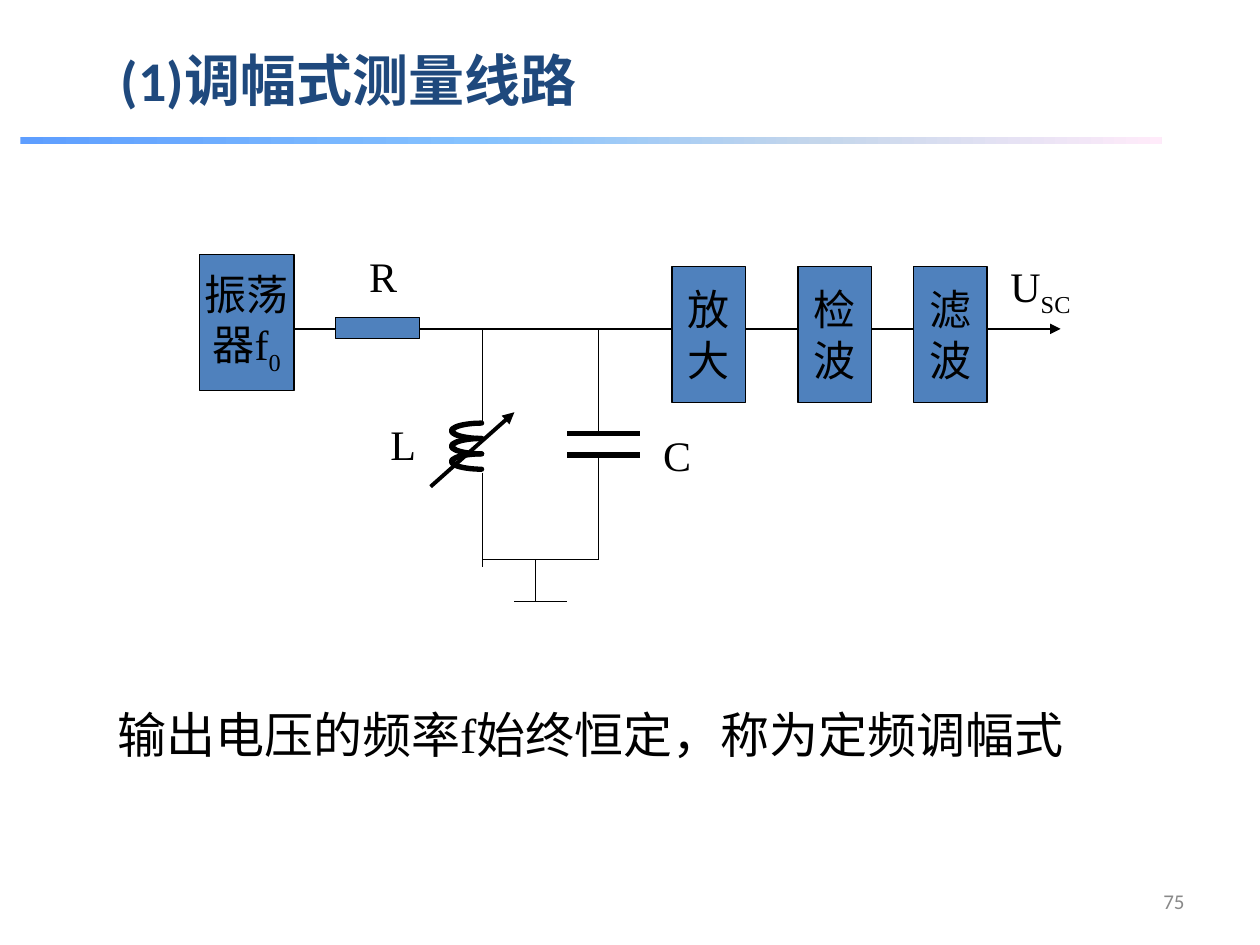
from itertools import pairwise
from lxml import etree
from pptx import Presentation
from pptx.dml.color import RGBColor
from pptx.enum.shapes import MSO_CONNECTOR, MSO_SHAPE
from pptx.enum.text import MSO_ANCHOR, MSO_AUTO_SIZE, PP_ALIGN
from pptx.oxml import parse_xml
from pptx.oxml.ns import nsdecls, qn
from pptx.util import Cm, Pt

COLORS = {"ink": "000000", "fill": "4F81BD", "title": "1F497D", "page": "898989"}
LATIN, ASIAN, HEAD = "Times New Roman", "Noto Sans CJK SC", "Calibri"

TITLE = "(1)调幅式测量线路"
NOTE = [("输出电压的频率", ASIAN), ("f", LATIN), ("始终恒定，称为定频调幅式", ASIAN)]
BAR = [(0, "5E9EFF"), (40, "85C2FF"), (70, "C4D6EB"), (100, "FFEBFA")]

# Centimetres; "_" marks the start of a subscript
WIRE_Y, COIL_X, CAP_X, BASE_Y, EARTH_Y = 6.63, 9.73, 12.07, 11.28, 12.12
PLATES = (8.74, 9.17)
COIL_TOP, TURN = 8.53, 0.31
BOXES = [  # left, top, width, height, lines
    (4.02, 5.13, 1.91, 2.74, ["振荡", "器f_0"]),
    (6.77, 6.4, 1.69, 0.43, []),
    (13.55, 5.37, 1.48, 2.74, ["放", "大"]),
    (16.09, 5.37, 1.48, 2.74, ["检", "波"]),
    (18.42, 5.37, 1.48, 2.74, ["滤", "波"]),
]
LABELS = [
    (7.62, 8.31, 1.02, "L"),
    (7.19, 4.93, 1.06, "R"),
    (13.12, 8.53, 1.06, "C"),
    (20.12, 5.13, 1.8, "U_SC"),
]
WIRES = [
    (CAP_X, WIRE_Y, CAP_X, PLATES[0]),
    (CAP_X, PLATES[1], CAP_X, BASE_Y),
    (COIL_X, WIRE_Y, COIL_X, COIL_TOP),
    (COIL_X, 9.53, COIL_X, 11.43),
    (COIL_X, BASE_Y, CAP_X, BASE_Y),
    (10.8, BASE_Y, 10.8, EARTH_Y),
    (10.37, EARTH_Y, 11.43, EARTH_Y),
]


def rgb(name):
    return RGBColor.from_string(COLORS[name])


def style(run, size, font=LATIN, color="ink", bold=False):
    run.font.size, run.font.name, run.font.bold = Pt(size), font, bold
    run.font.color.rgb = rgb(color)
    latin = run.font._element.find(qn("a:latin"))
    east = etree.Element(qn("a:ea"), typeface=ASIAN)
    latin.addnext(east)


def write(para, text, size=24):
    """Fill a paragraph, lowering whatever follows an underscore."""
    for low, part in enumerate(text.split("_")):
        run = para.add_run()
        run.text = part
        style(run, size)
        if low:
            run.font._element.set("baseline", "-25000")


def block(kind, left, top, width, height, line=0.75):
    shape = slide.shapes.add_shape(kind, Cm(left), Cm(top), Cm(width), Cm(height))
    shape.shadow.inherit = False
    shape.fill.solid()
    shape.fill.fore_color.rgb = rgb("fill")
    shape.line.color.rgb = rgb("ink")
    shape.line.width = Pt(line)
    return shape


def wire(x1, y1, x2, y2, width=0.75, arrow=False):
    line = slide.shapes.add_connector(
        MSO_CONNECTOR.STRAIGHT, Cm(x1), Cm(y1), Cm(x2), Cm(y2))
    line.line.color.rgb = rgb("ink")
    line.line.width = Pt(width)
    if arrow:
        etree.SubElement(line.line._get_or_add_ln(), qn("a:tailEnd"), type="triangle")
    etree.SubElement(line._element.spPr, qn("a:effectLst"))


def textbox(left, top, width, height, wrap=True):
    frame = slide.shapes.add_textbox(
        Cm(left), Cm(top), Cm(width), Cm(height)).text_frame
    frame.word_wrap = wrap
    return frame


deck = Presentation()
deck.slide_width, deck.slide_height = Cm(25.4), Cm(19.05)
slide = deck.slides.add_slide(deck.slide_layouts[5])

title = slide.shapes.title
title.left, title.top, title.width, title.height = Cm(2.18), Cm(0.79), Cm(14.27), Cm(1.63)
title.text_frame.text = TITLE
title.text_frame.vertical_anchor = MSO_ANCHOR.TOP
title.text_frame.paragraphs[0].alignment = PP_ALIGN.LEFT
style(title.text_frame.paragraphs[0].runs[0], 32, HEAD, "title", True)

bar = block(MSO_SHAPE.RECTANGLE, 0.41, 2.77, 23.01, 0.13)
bar.line.fill.background()
stops = "".join(f'<a:gs pos="{pos * 1000}"><a:srgbClr val="{color}"/></a:gs>'
                for pos, color in BAR)
solid = bar._element.spPr.find(qn("a:solidFill"))
solid.getparent().replace(solid, parse_xml(
    f'<a:gradFill {nsdecls("a")}><a:gsLst>{stops}</a:gsLst><a:lin ang="0"/></a:gradFill>'))

for left, top, width, height, lines in BOXES:
    frame = block(MSO_SHAPE.RECTANGLE, left, top, width, height).text_frame
    frame.word_wrap = False
    frame.vertical_anchor = MSO_ANCHOR.MIDDLE
    for i, text in enumerate(lines):
        para = frame.add_paragraph() if i else frame.paragraphs[0]
        para.alignment = PP_ALIGN.CENTER
        write(para, text)

for one, two in pairwise(BOXES):
    wire(one[0] + one[2], WIRE_Y, two[0], WIRE_Y)
last = BOXES[-1]
wire(last[0] + last[2], WIRE_Y, 21.38, WIRE_Y, arrow=True)

for y in PLATES:
    wire(11.43, y, 12.91, y, 3)
for i in range(3):
    turn = block(MSO_SHAPE.MOON, 9.1, COIL_TOP + i * TURN, 0.61, TURN, 3)
    turn.adjustments[0] = 0.03
for ends in WIRES:
    wire(*ends)

for left, top, width, text in LABELS:
    frame = textbox(left, top, width, 1.27, False)
    frame.auto_size = MSO_AUTO_SIZE.SHAPE_TO_FIT_TEXT
    write(frame.paragraphs[0], text)

note = textbox(2.12, 14.07, 20.75, 1.45).paragraphs[0]
for text, font in NOTE:
    run = note.add_run()
    run.text = text
    style(run, 28, font)

wire(8.68, 9.81, 10.37, 8.31, 2.25, True)

page = textbox(18.2, 17.66, 5.93, 1.01)
page.vertical_anchor = MSO_ANCHOR.MIDDLE
page.text = "75"
page.paragraphs[0].alignment = PP_ALIGN.RIGHT
style(page.paragraphs[0].runs[0], 12, HEAD, "page")

deck.save("out.pptx")
